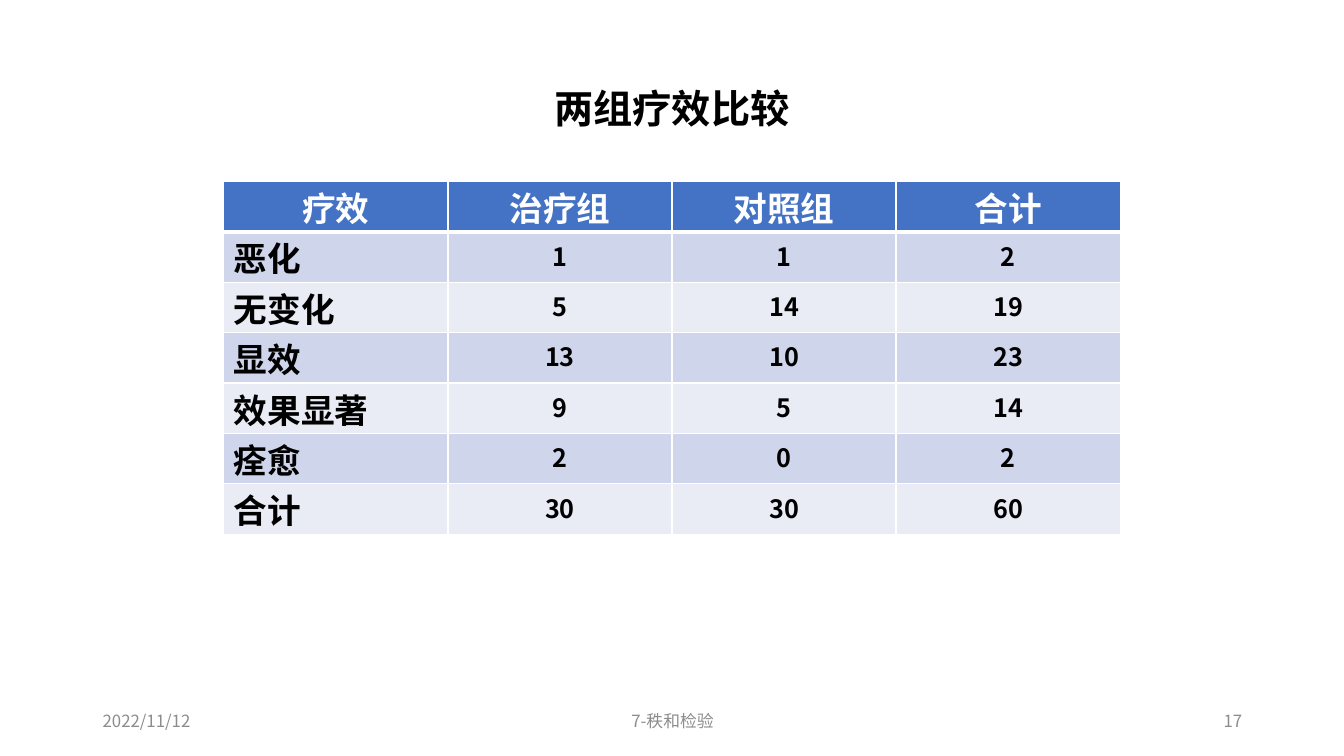
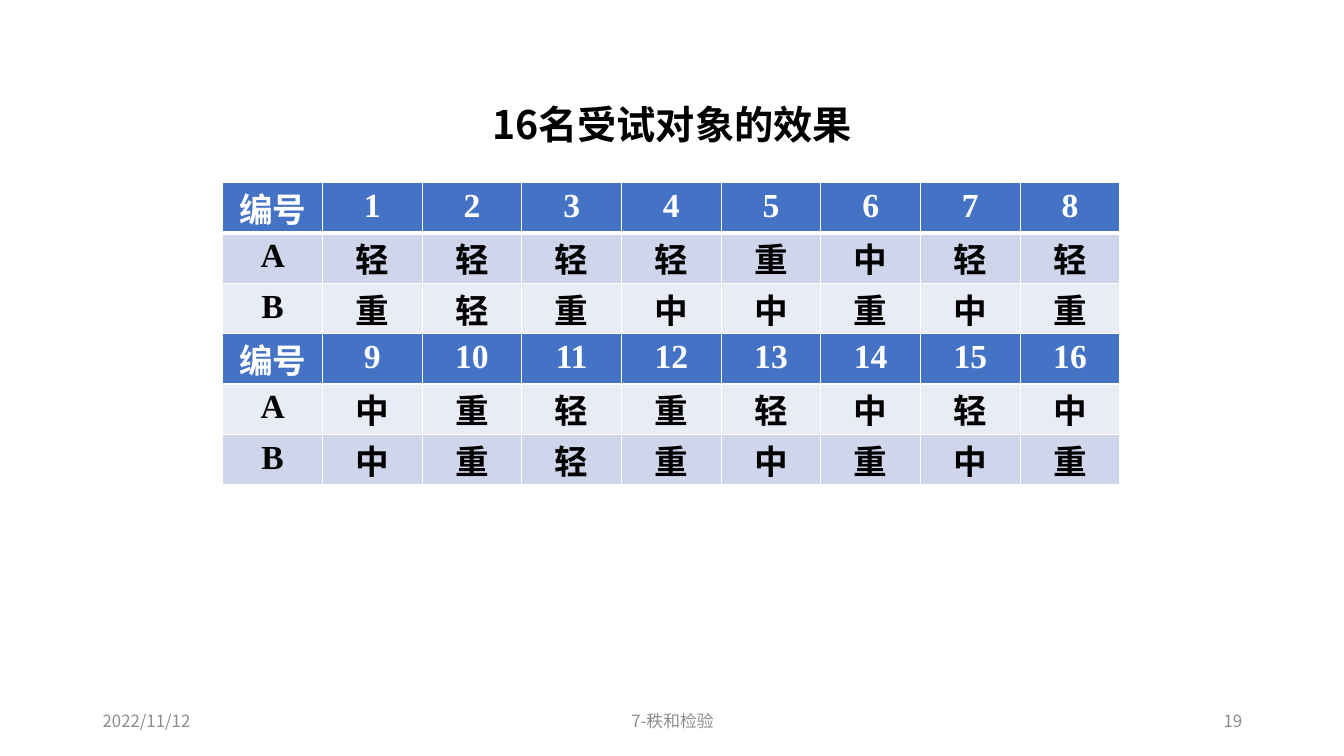
from dataclasses import dataclass

from lxml import etree
from pptx import Presentation
from pptx import util as u
from pptx.dml.color import RGBColor
from pptx.enum import text
from pptx.oxml import ns

LEFT, CENTER, RIGHT = text.PP_ALIGN.LEFT, text.PP_ALIGN.CENTER, text.PP_ALIGN.RIGHT


@dataclass(frozen=True)
class Theme:
    """Colours, fonts and type sizes shared by the slides."""
    ink: str = "000000"
    paper: str = "FFFFFF"
    header: str = "4472C4"
    bands: tuple = ("E9EBF5", "CFD5EA")
    muted: str = "8C8C8C"
    sans: str = "Noto Sans CJK SC"
    serif: str = "Times New Roman"
    title_size: int = 28
    label_size: int = 24
    count_size: int = 18
    footer_size: int = 12
    rule: int = 1
    header_rule: int = 3


THEME = Theme()


def add_run(paragraph, words, size, color, bold=False, latin=THEME.sans):
    """Add one run with its Latin and East Asian fonts."""
    run = paragraph.add_run()
    run.text = words
    run.font.size = u.Pt(size)
    run.font.bold = bold
    run.font.color.rgb = RGBColor.from_string(color)
    run.font.name = latin
    etree.SubElement(run.font._element, ns.qn("a:ea"), typeface=THEME.sans)


def add_line(slide, box, words, size, color, align, anchor, bold=False):
    """Place one line of text in a box given in inches."""
    frame = slide.shapes.add_textbox(*map(u.Inches, box)).text_frame
    frame.word_wrap = True
    frame.vertical_anchor = anchor
    frame.margin_top = frame.margin_bottom = 0
    paragraph = frame.paragraphs[0]
    paragraph.alignment = align
    add_run(paragraph, words, size, color, bold)


def add_title(slide, box, words):
    """Place the slide title."""
    add_line(slide, box, words, THEME.title_size, THEME.ink, CENTER,
             text.MSO_ANCHOR.TOP, bold=True)


def add_footer(slide, number):
    """Place the date, the lecture name and the slide number."""
    for left, width, words, align in (
        (0.92, 3, "2022/11/12", LEFT),
        (4.42, 4.5, "7-秩和检验", CENTER),
        (9.42, 3, str(number), RIGHT),
    ):
        add_line(slide, (left, 6.95, width, 0.4), words, THEME.footer_size,
                 THEME.muted, align, text.MSO_ANCHOR.MIDDLE)


def set_borders(cell, top, bottom):
    """Draw the four cell borders, with top and bottom widths in points."""
    widths = {"L": THEME.rule, "R": THEME.rule, "T": top, "B": bottom}
    properties = cell._tc.get_or_add_tcPr()
    for position, (side, width) in enumerate(widths.items()):
        line = etree.Element(ns.qn(f"a:ln{side}"), w=str(u.Pt(width)))
        fill = etree.SubElement(line, ns.qn("a:solidFill"))
        etree.SubElement(fill, ns.qn("a:srgbClr"), val=THEME.paper)
        properties.insert(position, line)


def add_grid(slide, box, rows, header_rows, latin, count_size, label_align):
    """Fill a box with an even table of header rows and banded rows."""
    left, top, width, height = map(u.Inches, box)
    table = slide.shapes.add_table(len(rows), len(rows[0]), left, top, width, height).table
    for r, row in enumerate(rows):
        is_header = r in header_rows
        for c, words in enumerate(row):
            cell = table.cell(r, c)
            cell.fill.solid()
            cell.fill.fore_color.rgb = RGBColor.from_string(
                THEME.header if is_header else THEME.bands[r % 2])
            set_borders(cell,
                        THEME.header_rule if r == 1 else THEME.rule,
                        THEME.header_rule if r == 0 else THEME.rule)
            cell.margin_top = u.Inches(0.05 if words.isascii() else 0.01)
            cell.margin_bottom = 0
            paragraph = cell.text_frame.paragraphs[0]
            paragraph.alignment = CENTER if is_header or c else label_align
            add_run(paragraph, words,
                    count_size if words.isascii() else THEME.label_size,
                    THEME.paper if is_header else THEME.ink, True, latin)


def build_efficacy(slide):
    """Compare the outcomes of the two groups."""
    add_footer(slide, 17)
    outcomes = (("恶化", 1, 1), ("无变化", 5, 14), ("显效", 13, 10),
                ("效果显著", 9, 5), ("痊愈", 2, 0), ("合计", 30, 30))
    rows = [("疗效", "治疗组", "对照组", "合计")]
    rows += [(outcome, str(treated), str(control), str(treated + control))
             for outcome, treated, control in outcomes]
    add_grid(slide, (2.22, 1.8, 8.89, 3.5), rows, {0}, THEME.sans,
             THEME.count_size, LEFT)
    add_title(slide, (4.03, 0.84, 5.27, 0.57), "两组疗效比较")


def build_subjects(slide):
    """List the effects of A and B on the sixteen subjects."""
    add_footer(slide, 19)
    add_title(slide, (3.76, 1, 5.81, 0.57), "16名受试对象的效果")
    rows = []
    for first, effects_a, effects_b in ((1, "轻轻轻轻重中轻轻", "重轻重中中重中重"),
                                        (9, "中重轻重轻中轻中", "中重轻重中重中重")):
        rows += [("编号", *map(str, range(first, first + 8))),
                 ("A", *effects_a), ("B", *effects_b)]
    add_grid(slide, (2.21, 1.81, 8.9, 3), rows, {0, 3}, THEME.serif,
             THEME.label_size, CENTER)


def main():
    """Build and save the slides."""
    deck = Presentation()
    deck.slide_width, deck.slide_height = u.Inches(13.33), u.Inches(7.5)
    for build in (build_efficacy, build_subjects):
        build(deck.slides.add_slide(deck.slide_layouts[6]))
    deck.save("out.pptx")


if __name__ == "__main__":
    main()
